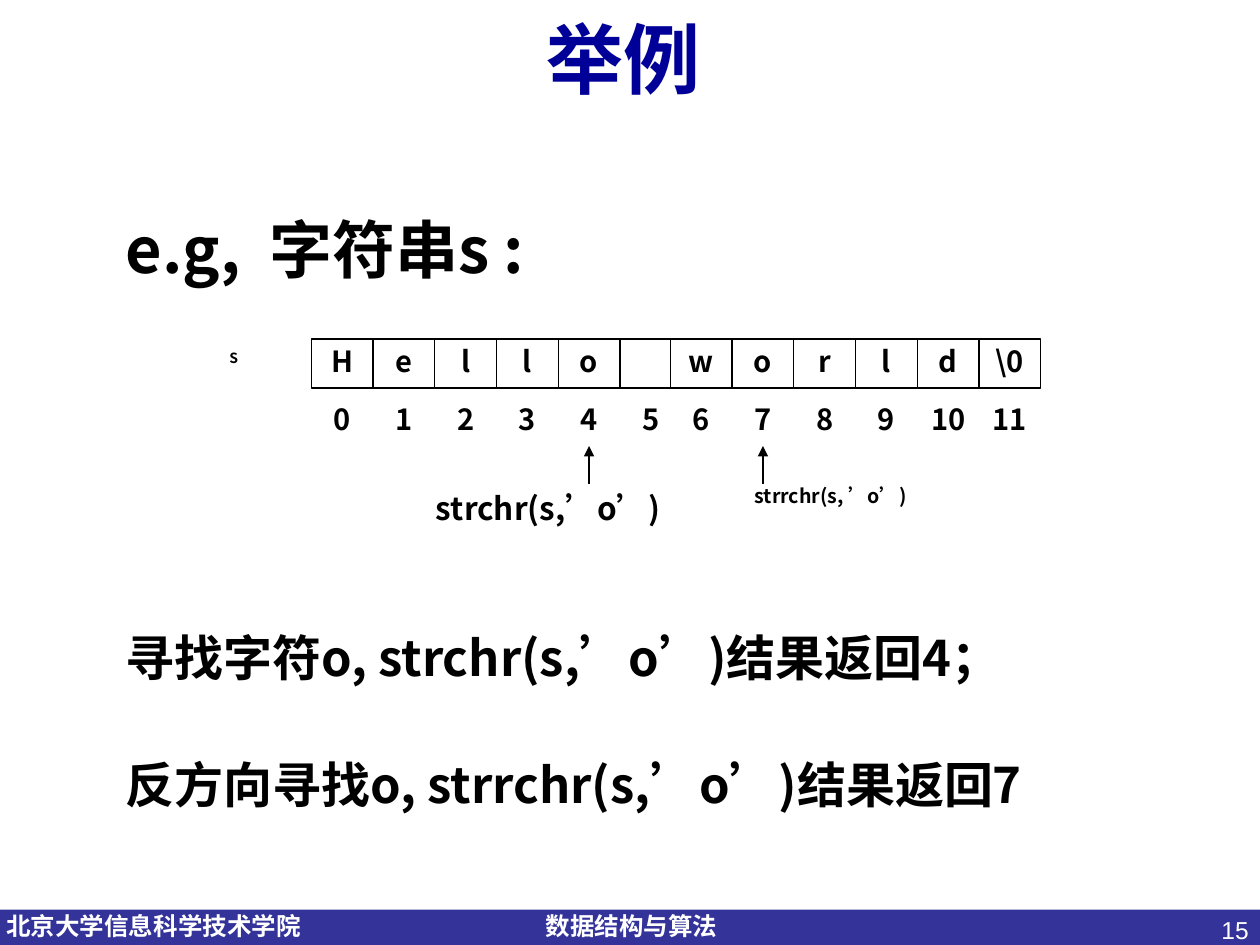
from lxml import etree
from pptx import Presentation, util as u
from pptx.dml.color import RGBColor
from pptx.enum import shapes, text
from pptx.oxml.ns import qn

HUES = {"band": "333399", "title": "000099", "ink": "000000", "paper": "FFFFFF"}
SANS = "Noto Sans CJK SC"
LEFT, MID, RIGHT = text.PP_ALIGN.LEFT, text.PP_ALIGN.CENTER, text.PP_ALIGN.RIGHT
TOP, HALF = text.MSO_ANCHOR.TOP, text.MSO_ANCHOR.MIDDLE


def hue(name):
    return RGBColor.from_string(HUES[name])


def write(shape, words, size, color="ink", font=SANS, bold=True, align=LEFT,
          anchor=TOP, pads=(0.1, 0.05, 0.1, 0.05), lead=None, wrap=True):
    """Fill a shape with one formatted line; pads are left, top, right, bottom inches."""
    frame = shape.text_frame
    frame.text = words
    frame.word_wrap = wrap
    frame.auto_size = text.MSO_AUTO_SIZE.NONE
    frame.vertical_anchor = anchor
    (frame.margin_left, frame.margin_top,
     frame.margin_right, frame.margin_bottom) = map(u.Inches, pads)
    par = frame.paragraphs[0]
    par.alignment = align
    par.space_before = u.Pt(0)
    par.line_spacing = lead
    for run in par.runs:
        run.font.name, run.font.size, run.font.bold = font, u.Pt(size), bold
        run.font.color.rgb = hue(color)
        east = etree.SubElement(run._r.get_or_add_rPr(), qn("a:ea"))
        east.set("typeface", SANS)


deck = Presentation()
deck.slide_width, deck.slide_height = u.Inches(10), u.Inches(7.5)
slide = deck.slides.add_slide(deck.slide_layouts[5])
items = slide.shapes

# Footer band
band = items.add_shape(shapes.MSO_SHAPE.RECTANGLE, 0, u.Inches(7.22),
                       deck.slide_width, u.Inches(0.28))
band.shadow.inherit = False
band.fill.solid()
band.fill.fore_color.rgb = hue("band")
band.line.fill.background()
for left, wide, words in [(0.05, 2.44, "北京大学信息科学技术学院"),
                          (4.33, 1.46, "数据结构与算法")]:
    box = items.add_textbox(*map(u.Inches, (left, 7.18, wide, 0.34)))
    write(box, words, 14, "paper", "Arial", pads=(0, 0.05, 0.1, 0.05), wrap=False)
page = items.add_textbox(*map(u.Inches, (7.68, 7.21, 2.33, 0.52)))
write(page, "15", 14, "paper", "Arial", bold=False, align=RIGHT)

# Title and sentences
title = items.title
title.left, title.top = 0, 0
title.width, title.height = deck.slide_width, u.Inches(0.91)
write(title, "举例", 44, "title", align=MID, anchor=HALF, pads=(0.2, 0.05, 0.3, 0.05))
for top, wide, high, size, words in [
        (1.62, 6.06, 0.7, 36, "e.g,  字符串s :"),
        (4.93, 8.43, 0.57, 28, "寻找字符o, strchr(s,’o’)结果返回4；"),
        (5.94, 8.35, 1.04, 28, "反方向寻找o, strrchr(s,’o’)结果返回7")]:
    write(items.add_textbox(*map(u.Inches, (0.9, top, wide, high))), words, size)

# Character cells above their indexes; the blank cell is narrower than the rest
CHARS = [*"Hello world", "\\0"]
INDEX = [str(i) for i in range(len(CHARS))]
X, STEP, HIGH, CUT = 2.47, 0.49, 0.39, 0.09
PADS = (0.09, 0.04, 0.09, 0.04)
marks = []
for top, edge, row in [(2.69, "ink", CHARS), (3.15, "paper", INDEX)]:
    for col, mark in enumerate(row):
        left = X + col * STEP - (CUT if col > 5 else 0)
        cell = items.add_shape(shapes.MSO_SHAPE.RECTANGLE,
                               *map(u.Inches, (left, top, STEP, HIGH)))
        cell.shadow.inherit = False
        cell.fill.solid()
        cell.fill.fore_color.rgb = hue("paper")
        cell.line.color.rgb = hue(edge)
        cell.line.width = u.Pt(0.75)
        if mark.strip():
            write(cell, mark, 16.6, align=MID, anchor=HALF, pads=PADS, lead=0.9)
        if row is INDEX:
            marks.append(cell)

name = items.add_textbox(*map(u.Inches, (1.73, 2.66, 0.65, HIGH)))
write(name, "S", 8, anchor=HALF, pads=PADS, lead=0.8)

# Calls pointing at the index they return
for col, left, wide, high, size, lead, words in [
        (4, 3.37, 2.37, 0.39, 18, None, "strchr(s,’o’)"),
        (7, 5.9, 2.22, 0.29, 11.2, 0.8, "strrchr(s, ’o’)")]:
    goal = marks[col]
    mid = goal.left + goal.width // 2
    arrow = items.add_connector(shapes.MSO_CONNECTOR.STRAIGHT, mid, u.Inches(3.84),
                                mid, goal.top + goal.height)
    arrow.end_connect(goal, 2)
    arrow.line.color.rgb = hue("ink")
    arrow.line.width = u.Pt(0.75)
    etree.SubElement(arrow.line._get_or_add_ln(), qn("a:tailEnd")).set("type", "triangle")
    etree.SubElement(arrow._element.spPr, qn("a:effectLst"))
    box = items.add_textbox(*map(u.Inches, (left, 3.84, wide, high)))
    write(box, words, size, pads=PADS, lead=lead)

deck.save("out.pptx")
